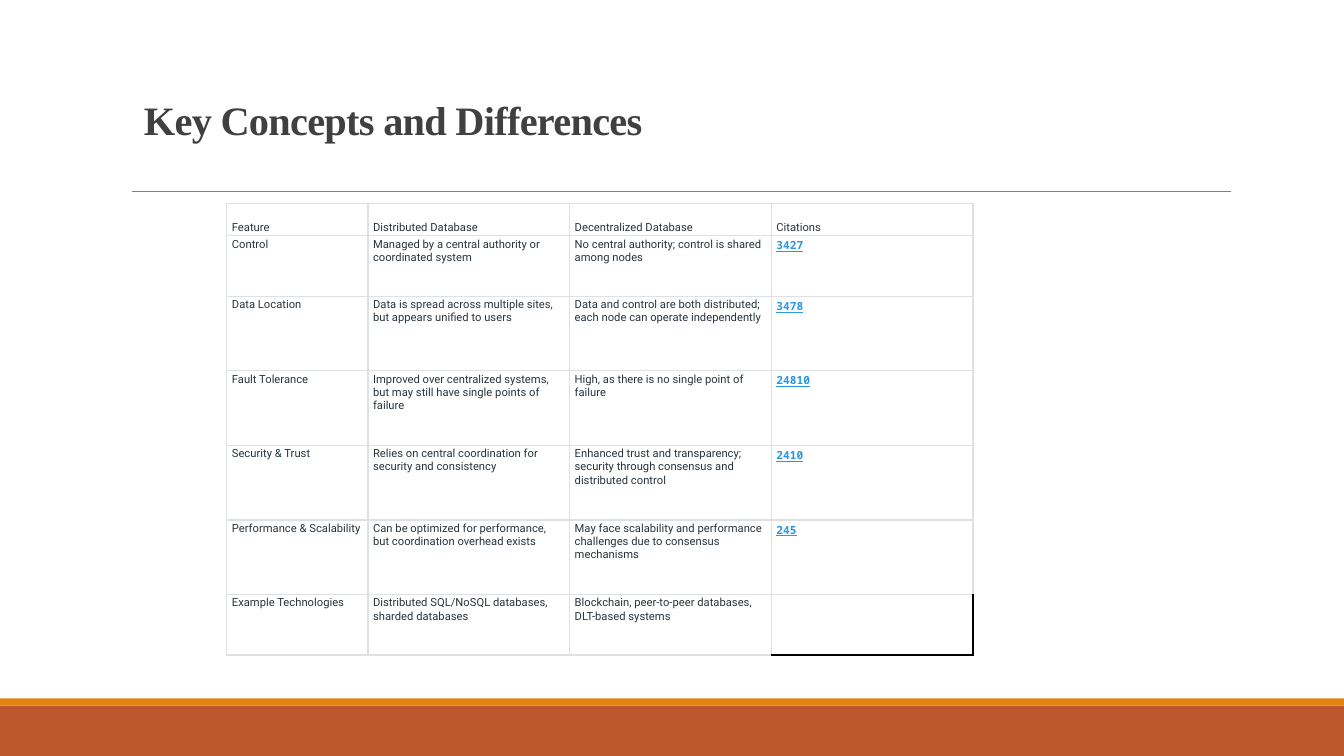
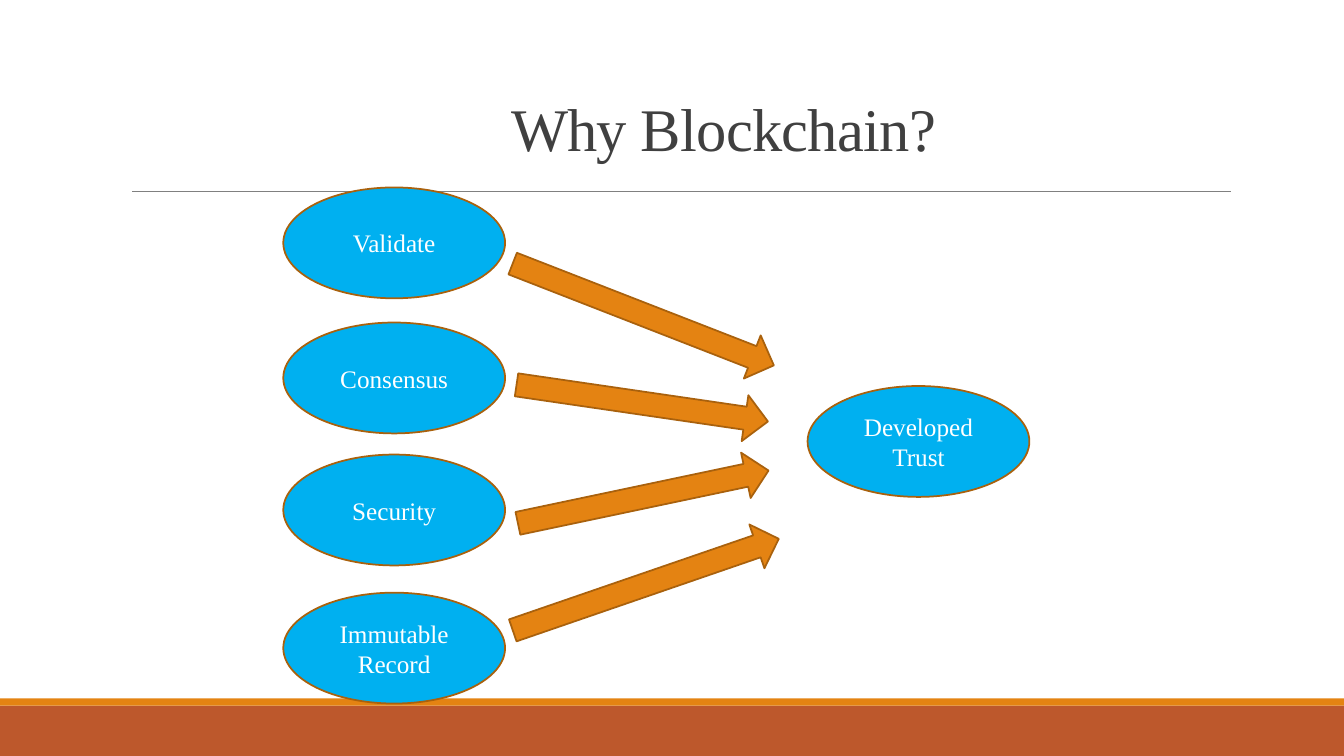
"""Build two slides comparing distributed databases and blockchain trust."""
import pptx
import pptx.dml.color
import pptx.enum.shapes
import pptx.enum.text
import pptx.oxml
import pptx.oxml.ns
import pptx.util
from pptx.util import Inches

COLORS = {
    "band": "BD582C", "accent": "E48312", "rule": "808080", "title": "404040",
    "ellipse": "00B0F0", "outline": "A9610D", "white": "FFFFFF", "body": "28333D",
    "citation": "2998E3", "grid": "DEE0E3", "black": "000000",
}
RGB = {name: pptx.dml.color.RGBColor.from_string(value) for name, value in COLORS.items()}
SHAPES = pptx.enum.shapes.MSO_SHAPE
ANCHOR = pptx.enum.text.MSO_ANCHOR
SERIF = "Times New Roman"
NAMESPACE = pptx.oxml.ns.nsdecls("a")


def add_filled_shape(slide, kind, box, fill, outline=None):
    shape = slide.shapes.add_shape(kind, *map(Inches, box))
    shape.shadow.inherit = False
    shape.fill.solid()
    shape.fill.fore_color.rgb = RGB[fill]
    if outline:
        shape.line.color.rgb = RGB[outline]
        shape.line.width = pptx.util.Pt(1.25)
    else:
        shape.line.fill.background()
    return shape


def format_text(paragraph, font_name, size, color, bold=False, underline=False):
    for run in paragraph.runs:
        run.font.name = font_name
        run.font.size = pptx.util.Pt(size)
        run.font.color.rgb = RGB[color]
        run.font.bold = bold
        run.font.underline = underline


presentation = pptx.Presentation()
presentation.slide_width = Inches(13.33)
presentation.slide_height = Inches(7.5)

titles = [
    ("Key Concepts and Differences", (1.33, 1, 11, 1.17), 28.8, True),
    ("Why Blockchain?", (4.97, 1.12, 7.68, 1.25), 43.2, False),
]
slides = []
for title, box, size, bold in titles:
    slide = presentation.slides.add_slide(presentation.slide_layouts[6])
    slides.append(slide)
    add_filled_shape(slide, SHAPES.RECTANGLE, (0, 7, 13.33, 0.5), "band")
    add_filled_shape(slide, SHAPES.RECTANGLE, (0, 6.93, 13.33, 0.07), "accent")
    rule = slide.shapes.add_connector(
        pptx.enum.shapes.MSO_CONNECTOR.STRAIGHT,
        Inches(1.31), Inches(1.9), Inches(12.21), Inches(1.9))
    rule.line.color.rgb = RGB["rule"]
    rule.line.width = pptx.util.Pt(0.5)
    rule._element.spPr.append(pptx.oxml.parse_xml(f"<a:effectLst {NAMESPACE}/>"))

    text_frame = slide.shapes.add_textbox(*map(Inches, box)).text_frame
    text_frame.word_wrap = True
    text_frame.vertical_anchor = ANCHOR.BOTTOM
    text_frame.margin_bottom = Inches(0.74)
    text_frame.text = title
    paragraph = text_frame.paragraphs[0]
    paragraph.line_spacing = 0.85
    format_text(paragraph, SERIF, size, "title", bold)
    paragraph.runs[0]._r.get_or_add_rPr().set("spc", "-50")

concepts_slide, trust_slide = slides

rows = [
    ("Feature", "Distributed Database", "Decentralized Database", "Citations"),
    ("Control", "Managed by a central authority or coordinated system",
     "No central authority; control is shared among nodes", "3427"),
    ("Data Location", "Data is spread across multiple sites, but appears unified to users",
     "Data and control are both distributed; each node can operate independently", "3478"),
    ("Fault Tolerance",
     "Improved over centralized systems, but may still have single points of failure",
     "High, as there is no single point of failure", "24810"),
    ("Security & Trust", "Relies on central coordination for security and consistency",
     "Enhanced trust and transparency; security through consensus and distributed control",
     "2410"),
    ("Performance & Scalability",
     "Can be optimized for performance, but coordination overhead exists",
     "May face scalability and performance challenges due to consensus mechanisms", "245"),
    ("Example Technologies", "Distributed SQL/NoSQL databases, sharded databases",
     "Blockchain, peer-to-peer databases, DLT-based systems", ""),
]
column_widths = [1.4, 2, 2, 2]
row_heights = [0.32, 0.6, 0.74, 0.74, 0.74, 0.74, 0.6]
table = concepts_slide.shapes.add_table(
    len(rows), len(column_widths), Inches(2.25), Inches(2.02),
    Inches(sum(column_widths)), Inches(sum(row_heights))).table
table.first_row = False
table.horz_banding = False
for column, width in zip(table.columns, column_widths):
    column.width = Inches(width)
for row, height in zip(table.rows, row_heights):
    row.height = Inches(height)

for row_index, row_texts in enumerate(rows):
    for column_index, text in enumerate(row_texts):
        cell = table.cell(row_index, column_index)
        cell.margin_left = cell.margin_right = Inches(0.05)
        cell.margin_top = cell.margin_bottom = Inches(0.02)
        cell.vertical_anchor = ANCHOR.TOP if row_index else ANCHOR.BOTTOM
        properties = cell._tc.get_or_add_tcPr()
        for side in "LRTB":
            color = "black" if not text and side in "RB" else "grid"
            properties.append(pptx.oxml.parse_xml(
                f'<a:ln{side} {NAMESPACE} w="12700"><a:solidFill>'
                f'<a:srgbClr val="{COLORS[color]}"/></a:solidFill></a:ln{side}>'))
        if not text:
            cell.fill.background()
            continue
        cell.fill.solid()
        cell.fill.fore_color.rgb = RGB["white"]
        cell.text_frame.text = text
        paragraph = cell.text_frame.paragraphs[0]
        if row_index and column_index == 3:
            format_text(paragraph, "Noto Sans Mono", 8, "citation", True, True)
        else:
            format_text(paragraph, "Roboto", 8, "body")

ellipses = [
    ("Validate", 2.81, 1.86),
    ("Consensus", 2.81, 3.2),
    ("Security", 2.81, 4.51),
    ("Immutable Record", 2.81, 5.88),
    ("Developed Trust", 8.01, 3.83),
]
for label, left, top in ellipses:
    ellipse = add_filled_shape(
        trust_slide, SHAPES.OVAL, (left, top, 2.2, 1.1), "ellipse", "outline")
    ellipse.text_frame.word_wrap = True
    ellipse.text_frame.vertical_anchor = ANCHOR.MIDDLE
    ellipse.text_frame.text = label
    paragraph = ellipse.text_frame.paragraphs[0]
    paragraph.alignment = pptx.enum.text.PP_ALIGN.CENTER
    format_text(paragraph, SERIF, 18, "white")

arrows = [
    (4.99, 2.89, 2.78, 21.3),
    (5.11, 3.77, 2.52, 8.3),
    (5.11, 4.7, 2.54, 348.1),
    (5.01, 5.57, 2.79, 341),
]
for left, top, width, rotation in arrows:
    arrow = add_filled_shape(
        trust_slide, SHAPES.RIGHT_ARROW, (left, top, width, 0.46), "accent", "outline")
    arrow.rotation = rotation

presentation.save("out.pptx")
